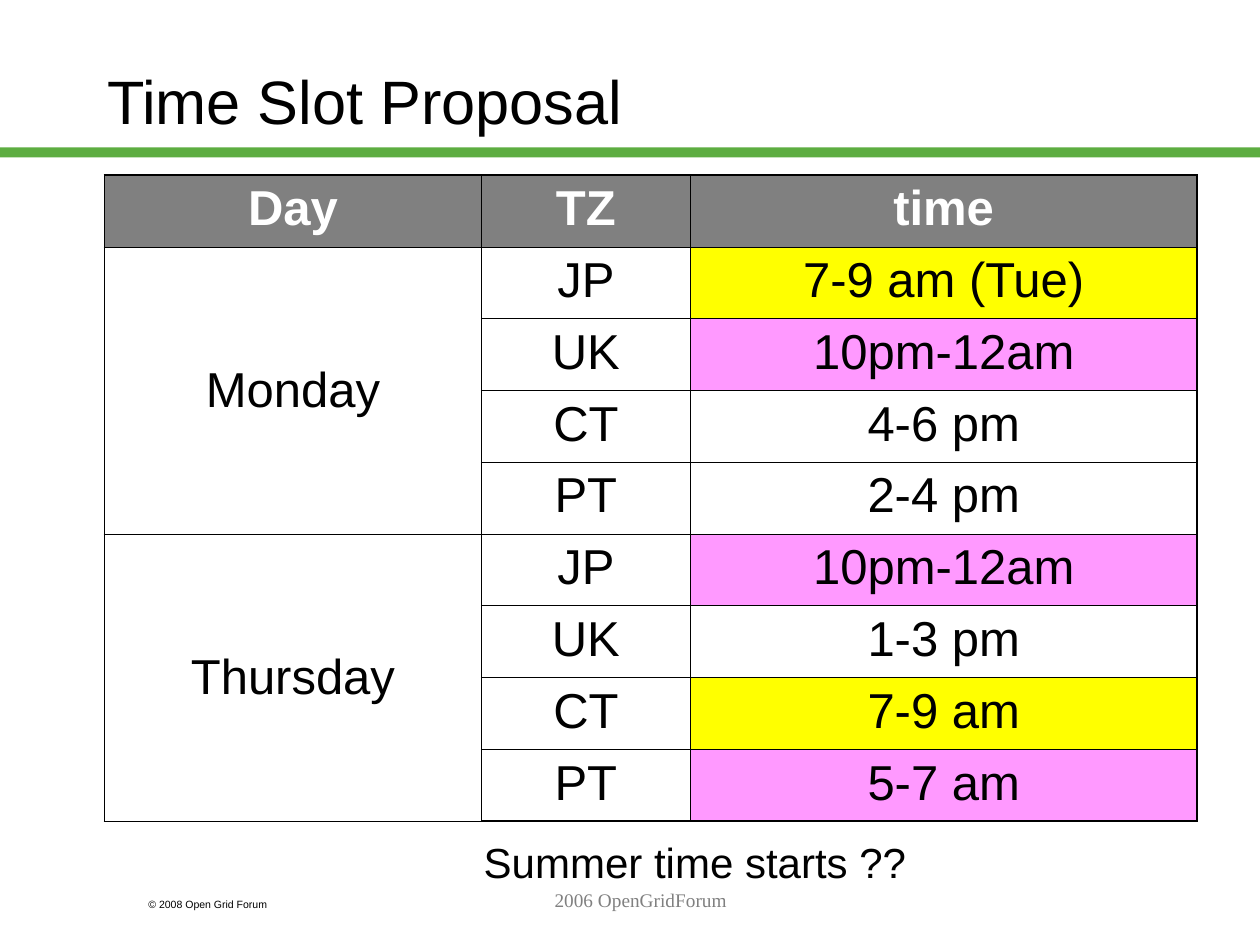
from typing import NamedTuple

from lxml.etree import SubElement
from pptx import Presentation
from pptx.dml.color import RGBColor
from pptx.enum.shapes import MSO_SHAPE
from pptx.enum.text import MSO_ANCHOR, PP_ALIGN
from pptx.oxml.ns import qn
from pptx.util import Inches, Pt

BLACK, WHITE, GRAY = "000000", "FFFFFF", "808080"
GREEN, YELLOW, PINK = "5DAD41", "FFFF00", "FF99FF"
THIN, THICK = 0.45, 1.08


class Slot(NamedTuple):
    zone: str
    time: str
    fill: str = WHITE


class Label(NamedTuple):
    text: str
    left: float
    top: float
    width: float
    height: float
    size: float
    font: str = "Arial"
    color: str = BLACK
    align: PP_ALIGN = PP_ALIGN.LEFT
    wrap: bool = True


HEADERS = ("Day", "TZ", "time")
COLUMN_WIDTHS = (2.99, 1.66, 4.02)
TABLE_HEIGHT = 5.13
DAYS = {
    "Monday": [
        Slot("JP", "7-9 am (Tue)", YELLOW),
        Slot("UK", "10pm-12am", PINK),
        Slot("CT", "4-6 pm"),
        Slot("PT", "2-4 pm"),
    ],
    "Thursday": [
        Slot("JP", "10pm-12am", PINK),
        Slot("UK", "1-3 pm"),
        Slot("CT", "7-9 am", YELLOW),
        Slot("PT", "5-7 am", PINK),
    ],
}
LABELS = (
    Label("© 2008 Open Grid Forum", 1.08, 7.08, 1.5, 0.2, 6),
    Label("Summer time starts ??", 3.74, 6.59, 3.55, 0.5, 24,
          align=PP_ALIGN.RIGHT, wrap=False),
    Label("2006 OpenGridForum", 2.17, 7, 5.83, 0.5, 11, "Times New Roman",
          GRAY, PP_ALIGN.CENTER),
)


def rgb(value: str) -> RGBColor:
    return RGBColor.from_string(value)


def set_text(frame, text: str, size: float, font: str = "Arial",
             color: str = BLACK, align: PP_ALIGN = PP_ALIGN.LEFT,
             bold: bool = False) -> None:
    frame.text = text
    paragraph = frame.paragraphs[0]
    paragraph.alignment = align
    paragraph.font.name = font
    paragraph.font.size = Pt(size)
    paragraph.font.bold = bold
    paragraph.font.color.rgb = rgb(color)


def add_label(slide, label: Label) -> None:
    box = slide.shapes.add_textbox(Inches(label.left), Inches(label.top),
                                   Inches(label.width), Inches(label.height))
    box.text_frame.word_wrap = label.wrap
    set_text(box.text_frame, label.text, label.size, label.font, label.color,
             label.align)


def set_borders(cell, widths: dict[str, float]) -> None:
    """Draw the cell's edges; the lines must come before the fill."""
    properties = cell._tc.get_or_add_tcPr()
    for position, (side, width) in enumerate(widths.items()):
        line = SubElement(properties, qn(f"a:ln{side}"), w=str(int(Pt(width))))
        fill = SubElement(line, qn("a:solidFill"))
        SubElement(fill, qn("a:srgbClr"), val=BLACK)
        properties.insert(position, line)


def fill_cell(cell, text: str, fill: str = WHITE, color: str = BLACK,
              bold: bool = False) -> None:
    cell.fill.solid()
    cell.fill.fore_color.rgb = rgb(fill)
    set_text(cell.text_frame, text, 28, color=color, align=PP_ALIGN.CENTER,
             bold=bold)


def add_schedule(slide) -> None:
    row_count = 1 + sum(len(slots) for slots in DAYS.values())
    column_count = len(HEADERS)
    table = slide.shapes.add_table(
        row_count, column_count, Inches(0.83), Inches(1.39),
        Inches(sum(COLUMN_WIDTHS)), Inches(TABLE_HEIGHT)).table
    table.first_row = table.horz_banding = False
    for column, width in zip(table.columns, COLUMN_WIDTHS):
        column.width = Inches(width)

    # Header row
    for column, header in enumerate(HEADERS):
        fill_cell(table.cell(0, column), header, GRAY, WHITE, bold=True)

    # One merged day cell beside its time zones
    row = 1
    for day, slots in DAYS.items():
        day_cell = table.cell(row, 0)
        day_cell.merge(table.cell(row + len(slots) - 1, 0))
        fill_cell(day_cell, day)
        day_cell.vertical_anchor = MSO_ANCHOR.MIDDLE
        for slot in slots:
            fill_cell(table.cell(row, 1), slot.zone)
            fill_cell(table.cell(row, 2), slot.time, slot.fill)
            row += 1

    # Thick outer frame, thin inner grid
    for row in range(row_count):
        for column in range(column_count):
            set_borders(table.cell(row, column), {
                "L": THICK if column == 0 else THIN,
                "R": THICK if column == column_count - 1 else THIN,
                "T": THICK if row == 0 else THIN,
                "B": THICK if row == row_count - 1 else THIN,
            })


def main() -> None:
    presentation = Presentation()
    presentation.slide_width = Inches(10)
    presentation.slide_height = Inches(7.5)
    slide = presentation.slides.add_slide(presentation.slide_layouts[5])

    # Green rule under the title
    rule = slide.shapes.add_shape(MSO_SHAPE.RECTANGLE, 0, Inches(1.17),
                                  presentation.slide_width, Inches(0.08))
    rule.shadow.inherit = False
    rule.fill.solid()
    rule.fill.fore_color.rgb = rgb(GREEN)
    rule.line.fill.background()

    # Title
    title = slide.shapes.title
    title.left, title.top = Inches(0.75), Inches(0.17)
    title.width, title.height = Inches(8.5), Inches(1.25)
    title.text_frame.vertical_anchor = MSO_ANCHOR.MIDDLE
    set_text(title.text_frame, "Time Slot Proposal", 35)

    # Schedule, note and footers
    add_schedule(slide)
    for label in LABELS:
        add_label(slide, label)

    presentation.save("out.pptx")


if __name__ == "__main__":
    main()
